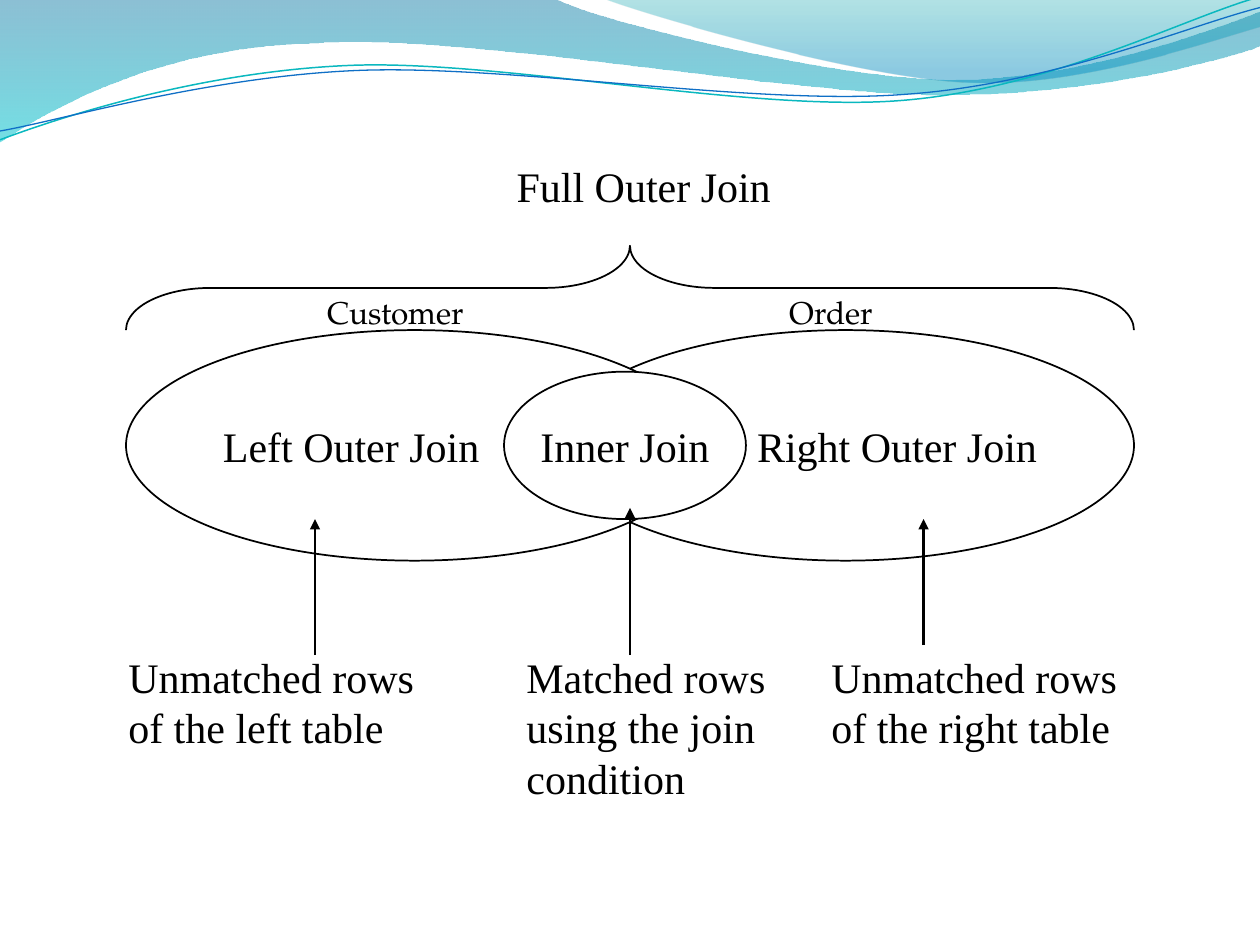
from lxml import etree
from pptx import Presentation
from pptx.dml.color import RGBColor
from pptx.enum.shapes import MSO_CONNECTOR, MSO_SHAPE
from pptx.enum.text import MSO_ANCHOR, MSO_AUTO_SIZE, PP_ALIGN
from pptx.oxml.ns import qn
from pptx.util import Inches, Pt

ELLIPSE, BRACE = MSO_SHAPE.OVAL, MSO_SHAPE.RIGHT_BRACE
STRAIGHT = MSO_CONNECTOR.STRAIGHT
LEFT, CENTER, RIGHT = PP_ALIGN.LEFT, PP_ALIGN.CENTER, PP_ALIGN.RIGHT
TOP, MIDDLE = MSO_ANCHOR.TOP, MSO_ANCHOR.MIDDLE
FIT_SHAPE = MSO_AUTO_SIZE.SHAPE_TO_FIT_TEXT
TITLE_ONLY = 5

COLORS = {
    "ink": "000000", "paper": "FFFFFF",
    "deep blue": "0074A1", "cyan": "00C6CF",
    "teal": "00A1A9", "sky": "008BBF",
    "teal line": "0AB8BF", "blue line": "0F6FC6",
}
SERIF, LABEL_FONT = "Times New Roman", "TeX Gyre Pagella"

# Each wave is a start point, then steps of 2 (line) or 6 (cubic curve) numbers.
# Fills list gradient stops as (position, colour, opacity).
FILLED_WAVES = [
    ((0, 0), [(4.4, -0.01), (4.76, 0.17, 6.64, 0.63, 7.58, 0.63),
              (8.53, 0.63, 9.58, 0.26, 10, 0.09), (10.01, 0.36),
              (9.83, 0.44, 8.7, 0.76, 7.46, 0.75),
              (6.22, 0.75, 3.82, 0.28, 2.57, 0.34),
              (1.29, 0.36, 0.46, 0.83, -0.01, 1.13)],
     [(0, "deep blue", 45), (1, "cyan", 55)]),
    ((4.79, -0.01), [(5.09, 0.11, 6.82, 0.62, 7.69, 0.65),
                     (8.56, 0.69, 9.61, 0.32, 10, 0.21), (10, 0)],
     [(0, "teal", 30), (0.8, "sky", 45)]),
]
LINE_WAVES = [
    ((0, 1.11), [(0.48, 0.93, 1.58, 0.57, 2.77, 0.52),
                 (3.95, 0.47, 5.93, 0.89, 7.13, 0.8),
                 (8.33, 0.71, 9.38, 0.15, 9.98, -0.02)], "teal line", 0.85),
    ((0, 1.04), [(0.47, 0.96, 1.64, 0.61, 2.83, 0.56),
                 (4.03, 0.51, 5.97, 0.84, 7.17, 0.75),
                 (8.36, 0.67, 9.41, 0.21, 10, 0.06)], "blue line", 0.75),
]


def color(name):
    return RGBColor.from_string(COLORS[name])


def bend_lines(shape, steps):
    """Turn each three lines that stand for a six-number step into one curve."""
    lines = iter(list(shape._element.iter(qn("a:lnTo"))))
    for step in steps:
        segment = next(lines)
        if len(step) == 6:
            segment.tag = qn("a:cubicBezTo")
            for extra in (next(lines), next(lines)):
                segment.append(extra[0])
                extra.getparent().remove(extra)


def write_text(shape, text, size=24, font=SERIF, align=LEFT, anchor=TOP,
               wrap=True, indent=0):
    frame = shape.text_frame
    frame.word_wrap = wrap
    frame.vertical_anchor = anchor
    paragraph = frame.paragraphs[0]
    paragraph.alignment = align
    if indent:
        paragraph._p.get_or_add_pPr().set("marL", str(Inches(indent)))
    run = paragraph.add_run()
    run.text = text
    run.font.size = Pt(size)
    run.font.name = font
    run.font.color.rgb = color("ink")


class JoinSlide:
    def __init__(self, slide, outline=1, arrow_width=1.5):
        self.slide = slide
        self.shapes = slide.shapes
        self.outline = outline
        self.arrow_width = arrow_width

    def set_line(self, shape, name="ink", width=None):
        shape.line.color.rgb = color(name)
        shape.line.width = Pt(width or self.outline)

    def title(self, text, left, top, width, height, **text_format):
        title = self.shapes.title
        title.left, title.top = Inches(left), Inches(top)
        title.width, title.height = Inches(width), Inches(height)
        write_text(title, text, **text_format)
        title.text_frame.auto_size = FIT_SHAPE

    def text(self, text, left, top, width, height, **text_format):
        box = self.shapes.add_textbox(Inches(left), Inches(top),
                                      Inches(width), Inches(height))
        write_text(box, text, **text_format)
        box.text_frame.auto_size = FIT_SHAPE

    def shape(self, kind, left, top, width, height):
        shape = self.shapes.add_shape(kind, Inches(left), Inches(top),
                                      Inches(width), Inches(height))
        shape.shadow.inherit = False
        self.set_line(shape)
        return shape

    def ellipse(self, text, left, top, width, height, align):
        ellipse = self.shape(ELLIPSE, left, top, width, height)
        ellipse.fill.solid()
        ellipse.fill.fore_color.rgb = color("paper")
        write_text(ellipse, text, align=align, anchor=MIDDLE, wrap=False)

    def brace_above(self, left, top, width, height):
        """Draw a brace that points up and spans the given area."""
        brace = self.shape(BRACE, left + (width - height) / 2,
                           top + (height - width) / 2, height, width)
        brace.rotation = 270
        brace.adjustments[0] = 1
        brace.fill.background()

    def arrow_up(self, x, bottom, top):
        arrow = self.shapes.add_connector(STRAIGHT, Inches(x), Inches(bottom),
                                          Inches(x), Inches(top))
        self.set_line(arrow, width=self.arrow_width)
        etree.SubElement(arrow.line._get_or_add_ln(), qn("a:tailEnd"), type="triangle")
        etree.SubElement(arrow._element.spPr, qn("a:effectLst"))

    def wave(self, start, steps, close):
        points = [(Inches(step[index]), Inches(step[index + 1]))
                  for step in steps for index in range(0, len(step), 2)]
        builder = self.shapes.build_freeform(Inches(start[0]), Inches(start[1]))
        builder.add_line_segments(points, close=close)
        wave = builder.convert_to_shape()
        bend_lines(wave, steps)
        wave.shadow.inherit = False
        return wave

    def filled_wave(self, start, steps, stops):
        wave = self.wave(start, steps, close=True)
        wave.line.fill.background()
        wave.fill.gradient()
        wave.fill.gradient_angle = 270
        for stop, (position, name, _) in zip(wave.fill.gradient_stops, stops):
            stop.position = position
            stop.color.rgb = color(name)
        color_elements = wave._element.spPr.iter(qn("a:srgbClr"))
        for element, (_, _, opacity) in zip(color_elements, stops):
            etree.SubElement(element, qn("a:alpha"), val=str(opacity * 1000))

    def line_wave(self, start, steps, name, width):
        wave = self.wave(start, steps, close=False)
        wave.fill.background()
        self.set_line(wave, name, width)


def main():
    presentation = Presentation()
    presentation.slide_width, presentation.slide_height = Inches(10), Inches(7.5)
    layout = presentation.slide_layouts[TITLE_ONLY]
    page = JoinSlide(presentation.slides.add_slide(layout))

    for wave in FILLED_WAVES:
        page.filled_wave(*wave)
    for wave in LINE_WAVES:
        page.line_wave(*wave)

    page.title("Full Outer Join", 3, 1.22, 4.25, 0.5, indent=1)
    page.ellipse("Right Outer Join", 4.42, 2.62, 4.58, 1.83, RIGHT)
    page.ellipse("Left Outer Join", 1, 2.62, 4.58, 1.83, LEFT)
    page.ellipse("Inner Join", 4, 2.95, 1.92, 1.17, CENTER)
    page.brace_above(1, 1.95, 8, 0.67)

    for text, left, width in [("Customer", 2.5, 1.83), ("Order", 6.17, 1.67)]:
        page.text(text, left, 2.28, width, 0.4, size=18, font=LABEL_FONT)

    for text, left, width, height in [
        ("Unmatched rows of the left table", 0.92, 2.67, 0.9),
        ("Matched rows using the join condition", 4.08, 2.17, 1.3),
        ("Unmatched rows of the right table", 6.5, 2.67, 0.9),
    ]:
        page.text(text, left, 5.12, width, height)

    for x, bottom, top in [(2.5, 5.2, 4.12), (5, 5.2, 4.03), (7.33, 5.12, 4.12)]:
        page.arrow_up(x, bottom, top)

    presentation.save("out.pptx")


if __name__ == "__main__":
    main()
